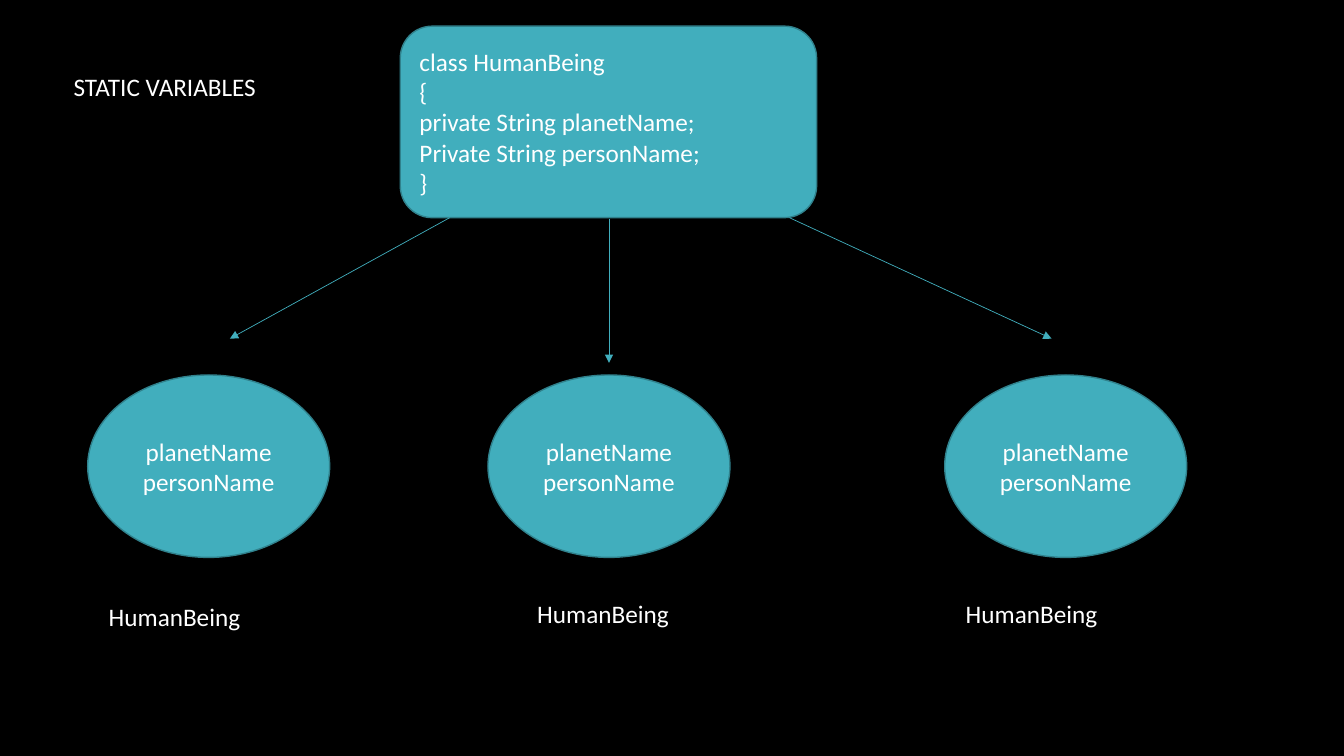
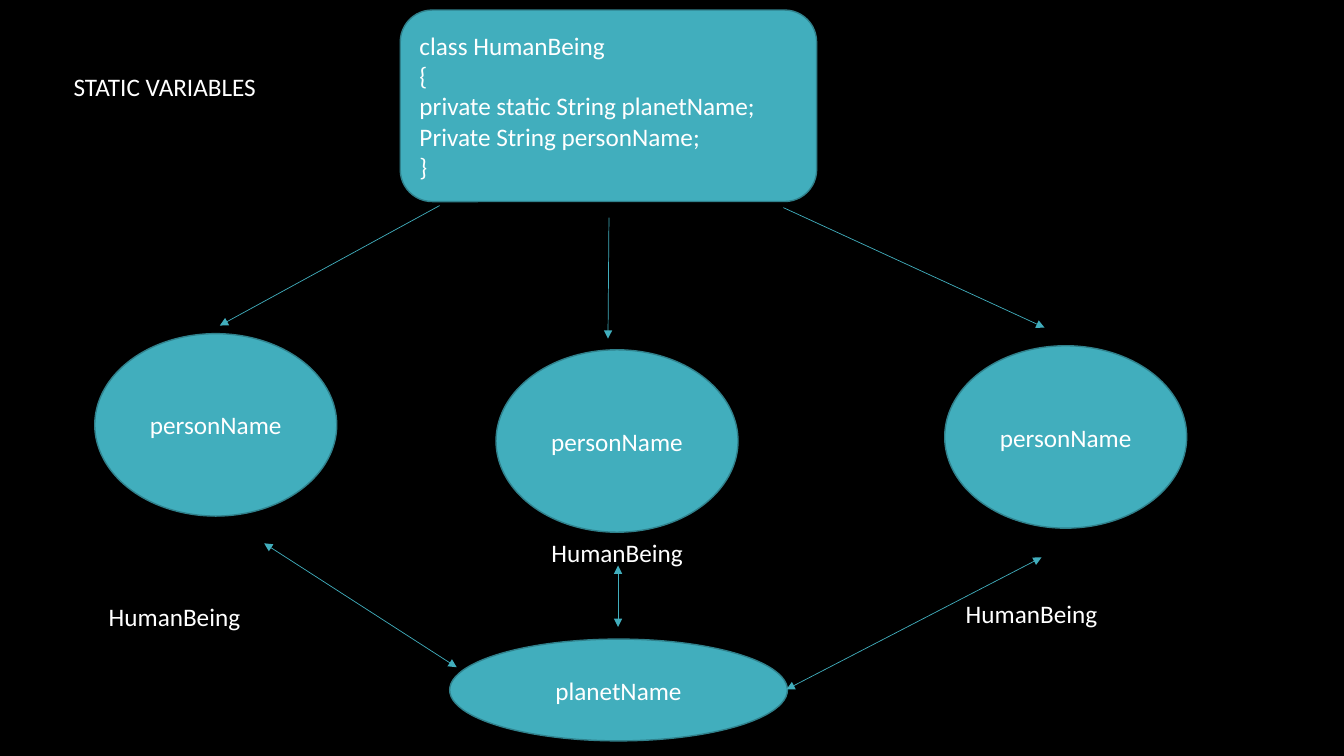
from lxml import etree
from pptx import Presentation
from pptx.dml.color import RGBColor
from pptx.enum.shapes import MSO_CONNECTOR, MSO_SHAPE
from pptx.enum.text import MSO_ANCHOR, MSO_AUTO_SIZE, PP_ALIGN
from pptx.oxml.ns import qn
from pptx.util import Inches, Pt

ROUNDED = MSO_SHAPE.ROUNDED_RECTANGLE
OVAL = MSO_SHAPE.OVAL
STRAIGHT = MSO_CONNECTOR.STRAIGHT
LEFT, CENTER = PP_ALIGN.LEFT, PP_ALIGN.CENTER
TOP, MIDDLE = MSO_ANCHOR.TOP, MSO_ANCHOR.MIDDLE
NO_AUTOFIT = MSO_AUTO_SIZE.NONE

BLACK = RGBColor(0x00, 0x00, 0x00)
WHITE = RGBColor(0xFF, 0xFF, 0xFF)
TEAL = RGBColor(0x41, 0xAE, 0xBD)
DARK_TEAL = RGBColor(0x30, 0x81, 0x8C)

TITLE = "STATIC VARIABLES"
CLASS_NAME = "HumanBeing"
CLASS_CODE = "class HumanBeing\n{{\n{} String planetName;\nPrivate String personName;\n}}"
CLASS_LEFT, CLASS_SIZE = 3.97, (4.13, 1.9)
OBJECT_SIZE = (2.4, 1.81)
LABEL_SIZE = (2.18, 0.41)

SLIDES = [
    {
        "class_top": 0.26,
        "modifiers": "private",
        "fields": "planetName\npersonName",
        "objects": [(0.87, 3.72), (4.84, 3.72), (9.37, 3.72)],
        "labels": [(0.98, 5.92), (5.23, 5.89), (9.48, 5.89)],
        "arrows": [(4.46, 2.16, 2.28, 3.36), (6.04, 2.17, 6.04, 3.6), (7.83, 2.16, 10.43, 3.36)],
        "shared_fields": [],
        "double_arrows": [],
    },
    {
        "class_top": 0.1,
        "modifiers": "private static",
        "fields": "personName",
        "objects": [(0.94, 3.31), (4.92, 3.47), (9.37, 3.43)],
        "labels": [(0.98, 5.92), (5.37, 5.28), (9.48, 5.89)],
        "arrows": [(4.36, 2.04, 2.18, 3.23), (6.04, 2.16, 6.03, 3.36), (7.77, 2.06, 10.36, 3.25)],
        "shared_fields": [("planetName", 4.46, 6.34, 3.35, 1.01)],
        "double_arrows": [(2.62, 5.39, 4.53, 6.62), (7.8, 6.84, 10.33, 5.53), (6.13, 6.22, 6.13, 5.61)],
    },
]


def write_text(shape, text, alignment, anchor):
    text_frame = shape.text_frame
    text_frame.text = text
    text_frame.word_wrap = True
    text_frame.auto_size = NO_AUTOFIT
    text_frame.vertical_anchor = anchor
    for paragraph in text_frame.paragraphs:
        paragraph.alignment = alignment
        for run in paragraph.runs:
            run.font.name = "Calibri"
            run.font.size = Pt(18)
            run.font.color.rgb = WHITE


def add_block(slide, kind, left, top, width, height, text, alignment):
    shape = slide.shapes.add_shape(kind, Inches(left), Inches(top), Inches(width), Inches(height))
    shape.shadow.inherit = False
    shape.fill.solid()
    shape.fill.fore_color.rgb = TEAL
    shape.line.color.rgb = DARK_TEAL
    shape.line.width = Pt(1)
    write_text(shape, text, alignment, MIDDLE)


presentation = Presentation()
presentation.slide_width = Inches(13.33)
presentation.slide_height = Inches(7.5)

background = presentation.slide_master.background.fill
background.solid()
background.fore_color.rgb = BLACK

title_layout = presentation.slide_layouts.get_by_name("Title Only")
layout_title = title_layout.placeholders[0]
layout_title.left, layout_title.top = Inches(0.63), Inches(0.66)
layout_title.width, layout_title.height = Inches(2.42), Inches(0.4)

for content in SLIDES:
    slide = presentation.slides.add_slide(title_layout)
    write_text(slide.shapes.title, TITLE, LEFT, TOP)

    code = CLASS_CODE.format(content["modifiers"])
    add_block(slide, ROUNDED, CLASS_LEFT, content["class_top"], *CLASS_SIZE, code, LEFT)
    for left, top in content["objects"]:
        add_block(slide, OVAL, left, top, *OBJECT_SIZE, content["fields"], CENTER)
    for text, left, top, width, height in content["shared_fields"]:
        add_block(slide, OVAL, left, top, width, height, text, CENTER)

    for left, top in content["labels"]:
        width, height = LABEL_SIZE
        label = slide.shapes.add_textbox(Inches(left), Inches(top), Inches(width), Inches(height))
        write_text(label, CLASS_NAME, LEFT, TOP)

    for arrows, ends in (
        (content["arrows"], ["a:tailEnd"]),
        (content["double_arrows"], ["a:headEnd", "a:tailEnd"]),
    ):
        for points in arrows:
            arrow = slide.shapes.add_connector(STRAIGHT, *[Inches(value) for value in points])
            arrow.line.color.rgb = TEAL
            arrow.line.width = Pt(0.5)
            properties = arrow.element.spPr
            line = properties.find(qn("a:ln"))
            for end in ends:
                etree.SubElement(line, qn(end), type="triangle")
            etree.SubElement(properties, qn("a:effectLst"))

presentation.save("out.pptx")
